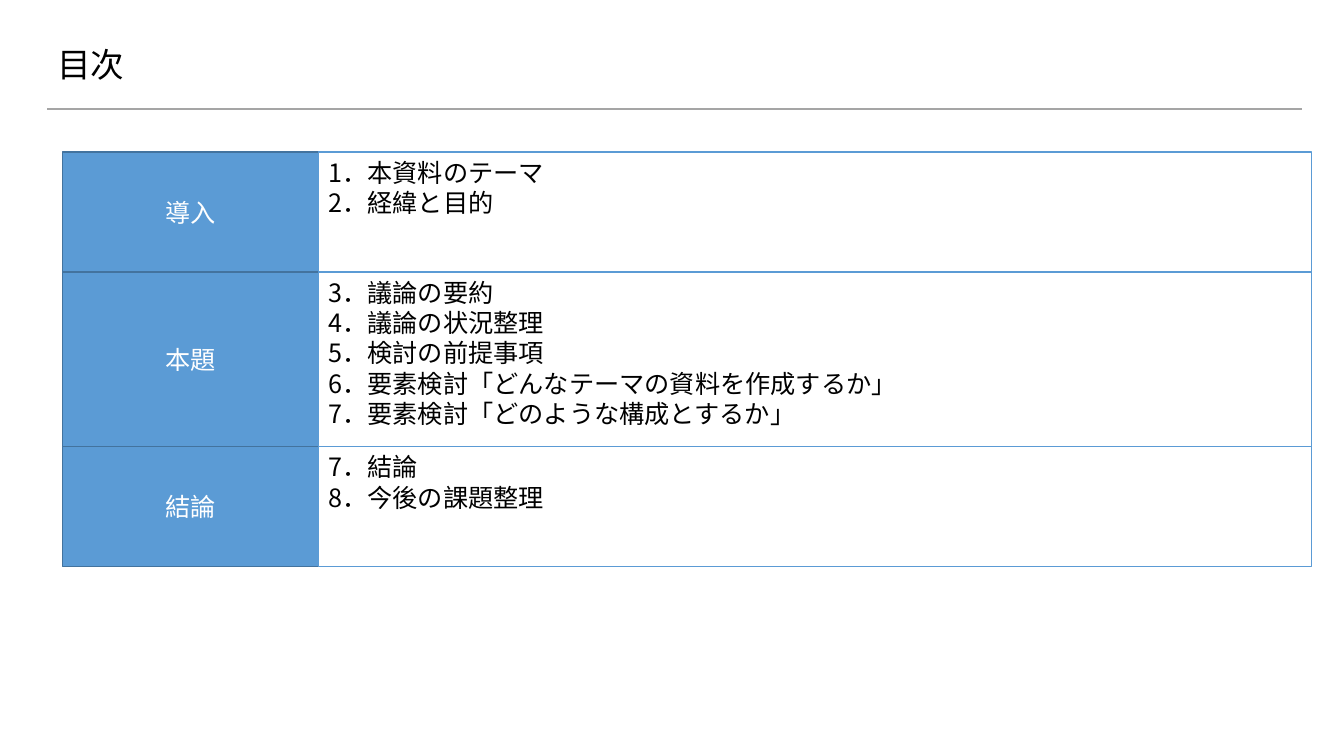
from typing import NamedTuple

from pptx import Presentation
from pptx.dml.color import RGBColor
from pptx.enum.shapes import MSO_CONNECTOR as Connector, MSO_SHAPE as Preset
from pptx.enum.text import MSO_ANCHOR as Anchor, PP_ALIGN as Align
from pptx.oxml.ns import qn
from pptx.shapes.autoshape import Shape
from pptx.slide import Slide
from pptx.text.text import TextFrame
from pptx.util import Pt
from lxml.etree import SubElement

FONT = "Noto Sans CJK JP"
COLORS = {
    "black": "000000",
    "white": "FFFFFF",
    "blue": "5B9BD5",
    "dark_blue": "43739E",
    "gray": "A5A5A5",
}
LABEL_LEFT, LABEL_WIDTH, ITEMS_WIDTH = 44.6, 182.9, 709.2
AGENDA_TOP = 108.7


class Section(NamedTuple):
    label: str
    items: list[str]
    height: float


class BoxStyle(NamedTuple):
    fill: str
    line: str
    text: str
    anchor: Anchor
    align: Align


LABEL_STYLE = BoxStyle("blue", "dark_blue", "white", Anchor.MIDDLE, Align.CENTER)
ITEMS_STYLE = BoxStyle("white", "blue", "black", Anchor.TOP, Align.LEFT)

SECTIONS = [
    Section("導入", ["1．本資料のテーマ", "2．経緯と目的"], 85.7),
    Section("本題", [
        "3．議論の要約",
        "4．議論の状況整理",
        "5．検討の前提事項",
        "6．要素検討「どんなテーマの資料を作成するか」",
        "7．要素検討「どのような構成とするか」",
    ], 124.6),
    Section("結論", ["7．結論", "8．今後の課題整理"], 85.7),
]
# Item numbers are set in full-width digits
FULL_WIDTH = str.maketrans("12345678", "12345678")


def color(name: str) -> RGBColor:
    return RGBColor.from_string(COLORS[name])


def format_text(frame: TextFrame, size: float, text_color: str, align: Align,
                spacing: float | Pt) -> None:
    for paragraph in frame.paragraphs:
        paragraph.alignment = align
        paragraph.line_spacing = spacing
        for run in paragraph.runs:
            run.font.size = Pt(size)
            run.font.name = FONT
            run.font.color.rgb = color(text_color)
            east_asian = SubElement(run.font._element, qn("a:ea"))
            east_asian.set("typeface", FONT)


def add_box(slide: Slide, left: float, top: float, width: float, height: float,
            text: str, style: BoxStyle) -> Shape:
    shape = slide.shapes.add_shape(Preset.RECTANGLE, Pt(left), Pt(top), Pt(width), Pt(height))
    shape.shadow.inherit = False
    shape.fill.solid()
    shape.fill.fore_color.rgb = color(style.fill)
    shape.line.color.rgb = color(style.line)
    shape.line.width = Pt(1)
    frame = shape.text_frame
    frame.text = text
    frame.word_wrap = True
    frame.vertical_anchor = style.anchor
    format_text(frame, 18, style.text, style.align, Pt(21.6))
    return shape


def add_title(slide: Slide, text: str) -> None:
    title = slide.shapes.title
    title.left, title.top, title.width, title.height = Pt(33.8), Pt(26.6), Pt(828), Pt(42.5)
    title.text_frame.text = text
    title.text_frame.vertical_anchor = Anchor.MIDDLE
    format_text(title.text_frame, 24, "black", Align.LEFT, 0.9)


def add_rule(slide: Slide) -> None:
    rule = slide.shapes.add_connector(Connector.STRAIGHT, Pt(33.8), Pt(77.8), Pt(930.2), Pt(77.8))
    rule.line.color.rgb = color("gray")
    rule.line.width = Pt(1.5)
    SubElement(rule._element.spPr, qn("a:effectLst"))


presentation = Presentation()
presentation.slide_width, presentation.slide_height = Pt(960), Pt(540)
slide = presentation.slides.add_slide(presentation.slide_layouts.get_by_name("Title Only"))

# Heading
add_rule(slide)
add_title(slide, "目次")

# Agenda: a label and its items per section, stacked without gaps
top = AGENDA_TOP
for section in SECTIONS:
    add_box(slide, LABEL_LEFT, top, LABEL_WIDTH, section.height, section.label, LABEL_STYLE)
    items = "\n".join(section.items).translate(FULL_WIDTH)
    add_box(slide, LABEL_LEFT + LABEL_WIDTH, top, ITEMS_WIDTH, section.height, items, ITEMS_STYLE)
    top += section.height

presentation.save("out.pptx")
